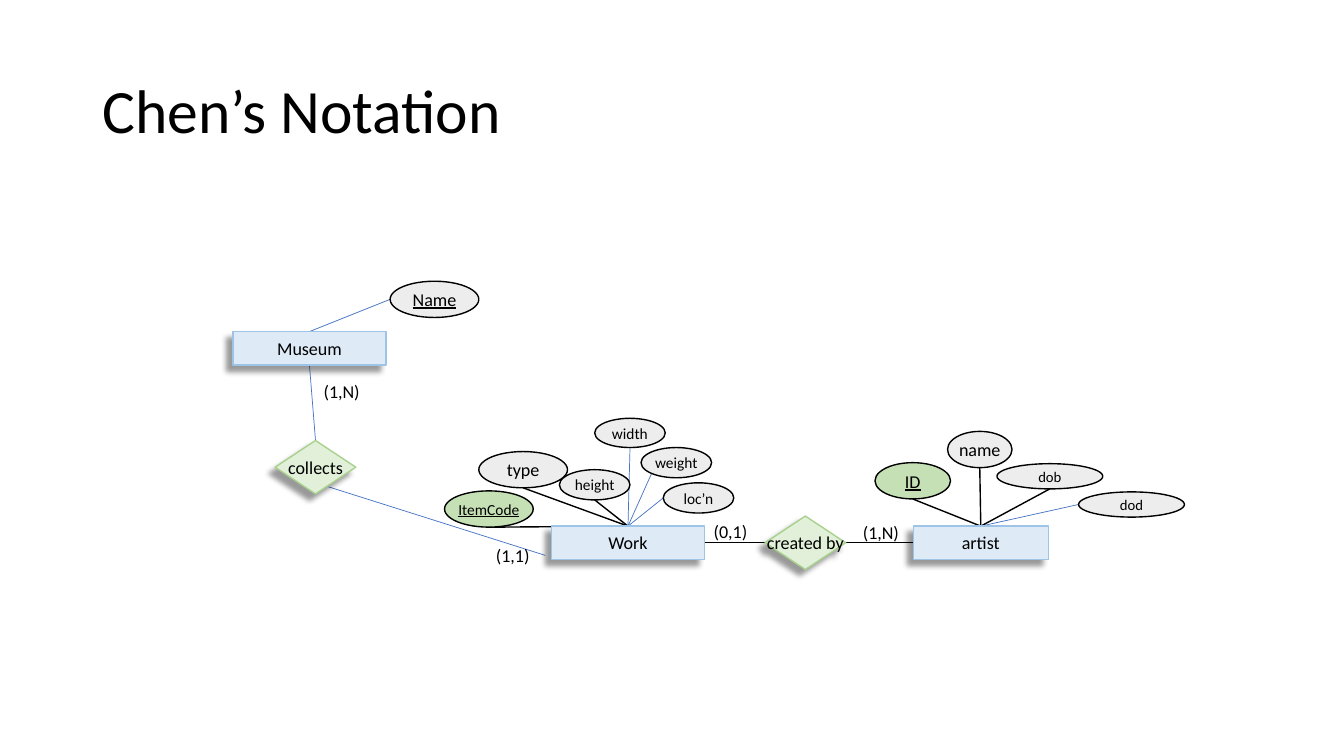
"""Build a slide with an entity-relationship diagram in Chen's notation."""
from lxml.etree import SubElement
from pptx import Presentation
from pptx.dml.color import RGBColor
from pptx.enum.shapes import MSO_CONNECTOR, MSO_SHAPE
from pptx.enum.text import MSO_ANCHOR, MSO_AUTO_SIZE, PP_ALIGN
from pptx.oxml.ns import qn
from pptx.util import Inches, Pt

BLACK = RGBColor(0x00, 0x00, 0x00)
BLUE = RGBColor(0x44, 0x72, 0xC4)
GREY = RGBColor(0xED, 0xED, 0xED)
GREEN = RGBColor(0xC5, 0xE0, 0xB4)
SKY = RGBColor(0xDE, 0xEB, 0xF7)
SKY_RIM = RGBColor(0x9D, 0xC3, 0xE6)
MINT = RGBColor(0xE2, 0xF0, 0xD9)
MINT_RIM = RGBColor(0xA9, 0xD1, 0x8E)

CELL = Inches(0.1)
COLS, ROWS = 133.33, 75
BODY = 12.9
TOP, LEFT, BOTTOM, RIGHT = range(4)
FOOT, SIDE, SLANT = (0.5, 1), (0, 0.5), (0.15, 0.85)
THIN, BOLD = (BLUE, 0.5), (BLACK, 1)

TITLE = ("Chen’s Notation", (9.2, 4, 115, 14.5))
ENTITIES = {
    "Museum": (23.1, 32.9, 15.2, 3.3),
    "Work": (54.7, 52.2, 15.2, 3.3),
    "artist": (90.6, 52.2, 13.4, 3.3),
}
RELATIONS = {
    "collects": (27.3, 43.7, 8, 5.3),
    "created by": (75.9, 51.2, 8, 5.3),
}
FACTS = [
    ("Museum", "Name", (38.7, 27.9, 8.8, 3.6), BODY, True, GREY, SIDE, THIN),
    ("Work", "height", (55.5, 46.6, 7, 3), 11, False, GREY, FOOT, BOLD),
    ("Work", "ItemCode", (44.1, 48.7, 8.8, 3.6), 11, True, GREEN, FOOT, BOLD),
    ("Work", "type", (47.5, 44.8, 8.8, 3.6), BODY, False, GREY, FOOT, BOLD),
    ("Work", "width", (59, 41.5, 7, 2.9), 11, False, GREY, FOOT, THIN),
    ("Work", "weight", (63.6, 44.4, 7, 3), 11, False, GREY, SLANT, THIN),
    ("Work", "loc’n", (65.8, 47.9, 7, 3), 11, False, GREY, SIDE, THIN),
    ("artist", "ID", (86.8, 45.9, 7.5, 3.6), BODY, True, GREEN, FOOT, BOLD),
    ("artist", "name", (94, 42.8, 6.4, 3.6), BODY, False, GREY, FOOT, BOLD),
    ("artist", "dob", (98.9, 46, 10.5, 2.5), 10.5, False, GREY, FOOT, BOLD),
    ("artist", "dod", (107, 48.8, 10.5, 2.5), 10.5, False, GREY, SIDE, THIN),
]
LINKS = [
    ("Museum", BOTTOM, "collects", TOP, THIN),
    ("Work", RIGHT, "created by", LEFT, BOLD),
    ("created by", RIGHT, "artist", LEFT, BOLD),
]
LOOSE = ((32.6, 48.3), (54.1, 55.1))
COUNTS = [
    ("(1,N)", (31.2, 37.3, 5.9, 3.1)),
    ("(1,1)", (48.3, 53.6, 5.6, 3.1)),
    ("(0,1)", (69.9, 51.2, 5.6, 3.1)),
    ("(1,N)", (84.7, 51.3, 6.4, 3.1)),
]


def grid(nums):
    return [round(n * CELL) for n in nums]


def write(shape, text, size=BODY, align=PP_ALIGN.CENTER, under=False,
          wrap=False, pad=0, space=None, anchor=MSO_ANCHOR.MIDDLE):
    frame = shape.text_frame
    frame.word_wrap = wrap
    frame.vertical_anchor = anchor
    frame.margin_left = frame.margin_right = Inches(pad)
    frame.margin_top = frame.margin_bottom = Inches(pad / 2)
    para = frame.paragraphs[0]
    para.alignment = align
    if space:
        para.line_spacing = space
    run = para.add_run()
    run.text = text
    font = run.font
    font.name, font.size, font.color.rgb = "Calibri", Pt(size), BLACK
    if under:
        font.underline = True


def node(slide, kind, box, fill, rim, shade=False):
    shape = slide.shapes.add_shape(kind, *grid(box))
    shape.fill.solid()
    shape.fill.fore_color.rgb = fill
    shape.line.color.rgb = rim
    shape.line.width = Pt(1)
    shape.shadow.inherit = False
    if shade:
        glow = shape.element.spPr.find(qn("a:effectLst"))
        cast = SubElement(glow, qn("a:outerShdw"), blurRad=str(Pt(4)),
                          dist=str(Pt(6)), dir=str(135 * 60000),
                          algn="tr", rotWithShape="0")
        tint = SubElement(cast, qn("a:srgbClr"), val=str(BLACK))
        SubElement(tint, qn("a:alpha"), val="40000")
    return shape


def join(slide, pen, start=(0, 0), end=(0, 0), head=None, tail=None):
    line = slide.shapes.add_connector(MSO_CONNECTOR.STRAIGHT,
                                      *grid(start + end))
    if head:
        line.begin_connect(*head)
    if tail:
        line.end_connect(*tail)
    line.line.color.rgb = pen[0]
    line.line.width = Pt(pen[1])
    SubElement(line.element.spPr, qn("a:effectLst"))
    line.element.getparent().insert(2, line.element)


def main():
    deck = Presentation()
    deck.slide_width, deck.slide_height = grid((COLS, ROWS))
    slide = deck.slides.add_slide(deck.slide_layouts[6])

    text, box = TITLE
    write(slide.shapes.add_textbox(*grid(box)), text, size=44, wrap=True,
          align=PP_ALIGN.LEFT, pad=0.1, space=0.9)

    nodes = {}
    for group, kind, fill, rim in (
            (ENTITIES, MSO_SHAPE.RECTANGLE, SKY, SKY_RIM),
            (RELATIONS, MSO_SHAPE.DIAMOND, MINT, MINT_RIM)):
        for name, box in group.items():
            nodes[name] = node(slide, kind, box, fill, rim, shade=True)
            write(nodes[name], name)

    for owner, name, box, size, key, fill, spot, pen in FACTS:
        oval = node(slide, MSO_SHAPE.OVAL, box, fill, BLACK)
        write(oval, name, size=size, under=key)
        x, y, wide, high = box
        start = (x + wide * spot[0], y + high * spot[1])
        join(slide, pen, start=start, tail=(nodes[owner], TOP))

    for first, out, last, into, pen in LINKS:
        join(slide, pen, head=(nodes[first], out), tail=(nodes[last], into))
    join(slide, THIN, *LOOSE)

    for text, box in COUNTS:
        label = slide.shapes.add_textbox(*grid(box))
        write(label, text, align=PP_ALIGN.LEFT, pad=0.09,
              anchor=MSO_ANCHOR.TOP)
        label.text_frame.auto_size = MSO_AUTO_SIZE.SHAPE_TO_FIT_TEXT

    deck.save("out.pptx")


if __name__ == "__main__":
    main()
